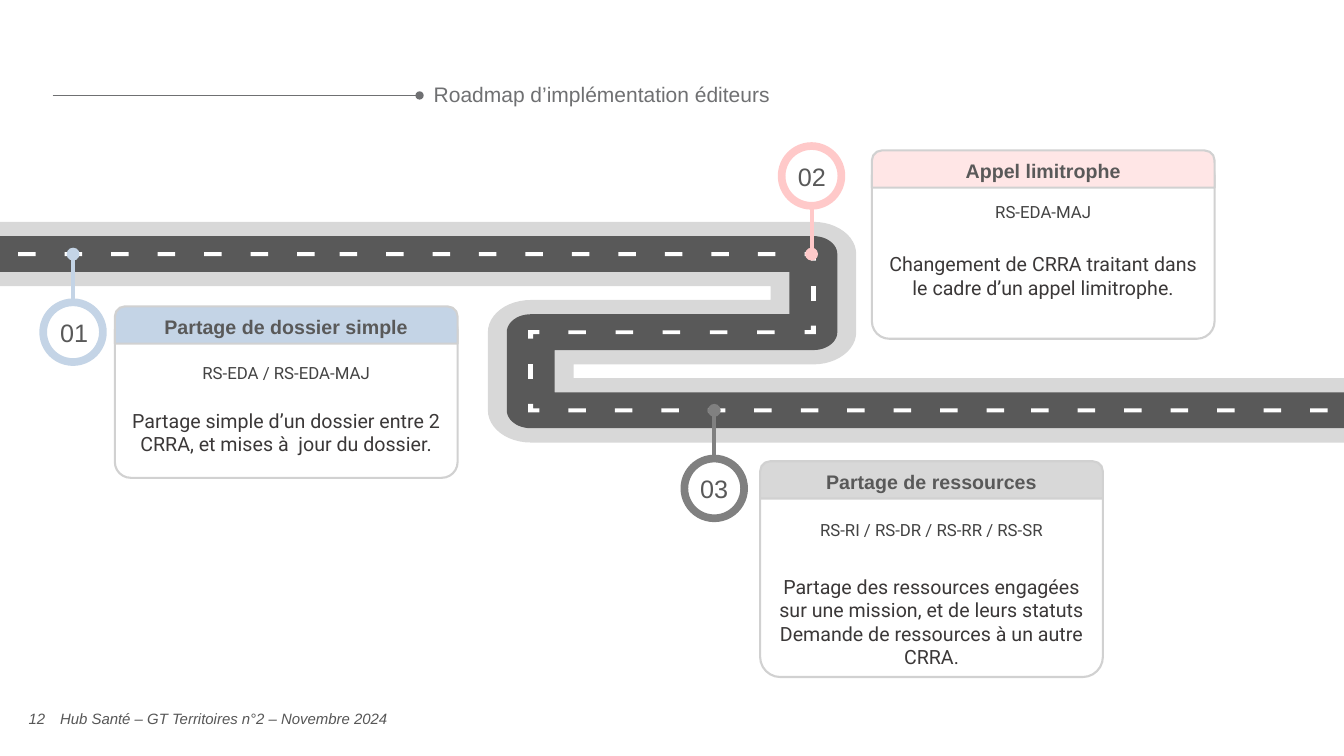
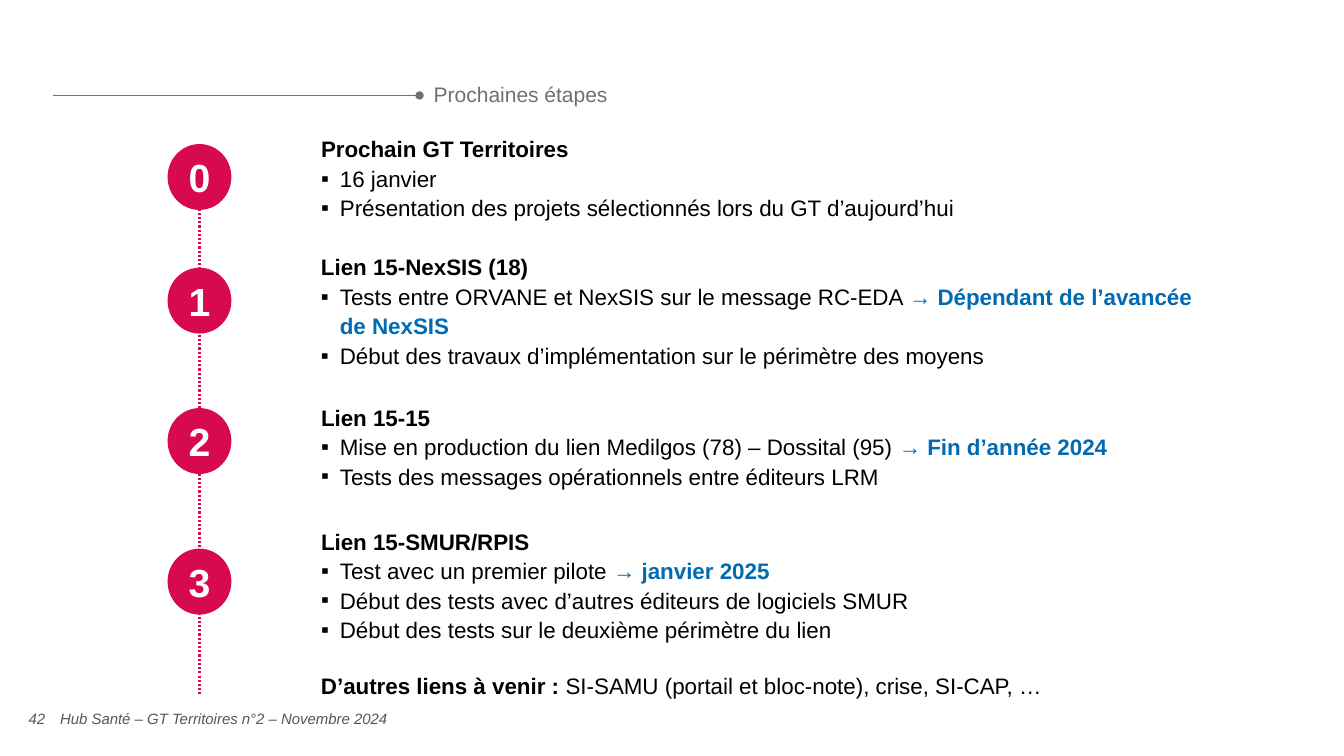
import math

import pptx
import pptx.dml.color
import pptx.enum.dml
import pptx.enum.shapes
import pptx.enum.text
import pptx.oxml.ns
import pptx.util
from lxml import etree

Pt = pptx.util.Pt
RGB = pptx.dml.color.RGBColor
SHAPE = pptx.enum.shapes.MSO_SHAPE
ALIGN = pptx.enum.text.PP_ALIGN
ANCHOR = pptx.enum.text.MSO_ANCHOR
DASH = pptx.enum.dml.MSO_LINE
qn = pptx.oxml.ns.qn

# Colours
WHITE = RGB(0xFF, 0xFF, 0xFF)
BLACK = RGB(0, 0, 0)
TITLE_GREY = RGB(0x6F, 0x70, 0x72)
FOOTER_GREY = RGB(0x57, 0x57, 0x57)
ASPHALT = RGB(0x59, 0x59, 0x59)
KERB = RGB(0xD8, 0xD8, 0xD8)
CARD_BORDER = RGB(0xD1, 0xD1, 0xD1)
CODE_GREY = RGB(0x43, 0x43, 0x43)
BODY_GREY = RGB(0x3B, 0x38, 0x38)
BLUE_SOFT = RGB(0xC4, 0xD4, 0xE6)
PINK = RGB(0xFF, 0xC9, 0xC9)
PINK_SOFT = RGB(0xFF, 0xE6, 0xE6)
PIN_GREY = RGB(0x80, 0x80, 0x80)
CRIMSON = RGB(0xD6, 0x09, 0x51)
DUE_BLUE = RGB(0x00, 0x6A, 0xB2)

FOOTER = "Hub Santé – GT Territoires n°2 – Novembre 2024"

# Road geometry: two turns and three lanes
WIDTH, HEIGHT = 960, 540
LEFT_TURN, RIGHT_TURN = 379.1, 581
LANE_GAP = 55.8
LANES = [181.5 + LANE_GAP * i for i in range(3)]
MARK_X, MARK_Y = 1.8, 1.4  # half thickness of the white marks


class Deck:
    def __init__(self):
        self.prs = pptx.Presentation()
        self.prs.slide_width, self.prs.slide_height = Pt(WIDTH), Pt(HEIGHT)
        self.s = None

    def slide(self, title, number):
        self.s = self.prs.slides.add_slide(self.prs.slide_layouts[6])
        self.line(37.7, 68.2, 299.7, 68.2, TITLE_GREY, 0.5, oval_end=True)
        tf = self.box(302.7, 56.2, 555.8, 23.8, anchor=ANCHOR.MIDDLE)
        self.para(tf, [(title, 15, TITLE_GREY)], spacing=0.9)
        for x, w, text, align in ((11.3, 30.2, str(number), ALIGN.CENTER),
                                  (42.9, 727.2, FOOTER, ALIGN.LEFT)):
            tf = self.box(x, 499, w, 28.8, anchor=ANCHOR.MIDDLE, inset=0)
            p = self.para(tf, [(text, 10.7, FOOTER_GREY)], align)
            p.runs[0].font.italic = True

    # Text
    def frame(self, shape, anchor, inset=None):
        tf = shape.text_frame
        tf.word_wrap = True
        tf.vertical_anchor = anchor
        if inset is not None:
            tf.margin_left = tf.margin_right = Pt(inset)
            tf.margin_top = tf.margin_bottom = Pt(inset)
        return tf

    def box(self, x, y, w, h, anchor=ANCHOR.TOP, inset=None):
        sp = self.s.shapes.add_textbox(Pt(x), Pt(y), Pt(w), Pt(h))
        return self.frame(sp, anchor, inset)

    def para(self, tf, runs, align=ALIGN.LEFT, spacing=None, bold=False,
             font="Arial", bullet=False):
        """Fill the empty first paragraph, or add one; runs are (text, size, colour)."""
        p = tf.paragraphs[0]
        if p.runs:
            p = tf.add_paragraph()
        if bullet:
            pPr = p._p.get_or_add_pPr()
            pPr.set("marL", str(Pt(13.5)))
            pPr.set("indent", str(-Pt(13.5)))
            etree.SubElement(pPr, qn("a:buFont")).set("typeface", "Arial")
            etree.SubElement(pPr, qn("a:buChar")).set("char", "▪")
        p.alignment = align
        if spacing:
            p.line_spacing = spacing
        for text, size, color in runs:
            r = p.add_run()
            r.text = text
            r.font.name = font
            r.font.size = Pt(size)
            r.font.bold = bold
            r.font.color.rgb = color
        return p

    # Shapes
    def style(self, sp, fill, border=None, weight=1):
        sp.shadow.inherit = False
        if fill is None:
            sp.fill.background()
        else:
            sp.fill.solid()
            sp.fill.fore_color.rgb = fill
        if border is None:
            sp.line.fill.background()
        else:
            sp.line.color.rgb = border
            sp.line.width = Pt(weight)
        return sp

    def shape(self, kind, x, y, w, h, fill, border=None, weight=1, adj=()):
        sp = self.s.shapes.add_shape(kind, Pt(x), Pt(y), Pt(w), Pt(h))
        for i, value in enumerate(adj):
            sp.adjustments[i] = value
        return self.style(sp, fill, border, weight)

    def line(self, x1, y1, x2, y2, color, weight, dash=None, oval_end=False):
        c = self.s.shapes.add_connector(
            pptx.enum.shapes.MSO_CONNECTOR.STRAIGHT, Pt(x1), Pt(y1), Pt(x2), Pt(y2))
        c.line.color.rgb = color
        c.line.width = Pt(weight)
        if dash:
            c.line.dash_style = dash
        spPr = c._element.spPr
        if oval_end:
            etree.SubElement(spPr.find(qn("a:ln")), qn("a:tailEnd")).set("type", "oval")
        etree.SubElement(spPr, qn("a:effectLst"))

    def outline(self, contours, fill):
        fb = None
        for contour in contours:
            pts = [(Pt(x), Pt(y)) for x, y in contour]
            if fb is None:
                fb = self.s.shapes.build_freeform(*pts[0])
            else:
                fb.move_to(*pts[0])
            fb.add_line_segments(pts[1:], close=True)
        self.style(fb.convert_to_shape(), fill)

    # Roadmap parts
    def road(self, hx, hy, fill):
        """A band around the lanes, hx and hy being its half thicknesses."""
        def turn(x, y, start):
            angles = [math.radians(start + 7.5 * i) for i in range(13)]
            return [(x + hx * math.cos(a), y + hy * math.sin(a)) for a in angles]

        top, mid, low = LANES
        inner_left, inner_right = LEFT_TURN + hx, RIGHT_TURN - hx
        self.outline([[
            (0, top - hy), *turn(RIGHT_TURN, top, -90), *turn(RIGHT_TURN, mid, 0),
            (inner_left, mid + hy), (inner_left, low - hy),
            (WIDTH, low - hy), (WIDTH, low + hy),
            *turn(LEFT_TURN, low, 90), *turn(LEFT_TURN, mid, 180),
            (inner_right, mid - hy), (inner_right, top + hy), (0, top + hy)]], fill)

    def road_marks(self):
        def rect(x, y, w, h):
            return [(x, y), (x, y + h), (x + w, y + h), (x + w, y)]

        def corner(x, y, dx, dy):
            x, y = x - dx * MARK_X, y - dy * MARK_Y
            a, b = x + dx * 8, y + dy * 6
            c, d = x + dx * 2 * MARK_X, y + dy * 2 * MARK_Y
            return [(x, y), (a, y), (a, d), (c, d), (c, b), (x, b)]

        top, mid, low = LANES
        # Rows of dashes
        for x, y, count, pitch in ((13, top, 7, 33.2), (242.6, top, 10, 33.2),
                                   (406, mid, 5, 33.7), (406, low, 10, 33.2),
                                   (736.6, low, 7, 33.2)):
            self.outline([rect(x + pitch * i, y - MARK_Y, 12.5, 2 * MARK_Y)
                          for i in range(count)], WHITE)
        # Marks in the turns
        for x, upper, lower, dx in ((RIGHT_TURN, top, mid, -1), (LEFT_TURN, mid, low, 1)):
            for mark in (corner(x, upper, dx, 1), corner(x, lower, dx, -1),
                         rect(x - MARK_X, (upper + lower) / 2 - 5.3, 2 * MARK_X, 10.6)):
                self.outline([mark], WHITE)

    def pin(self, label, x, lane, side, color, label_x):
        """A numbered ring above (-1) or below (1) its dot on the lane."""
        ring_y, size, dot = lane + side * LANE_GAP, 42.7, 9.2
        self.line(x, ring_y - side * size / 2, x, lane, color, 2.9)
        self.shape(SHAPE.OVAL, x - dot / 2, lane - dot / 2, dot, dot, color)
        self.shape(SHAPE.OVAL, x - size / 2, ring_y - size / 2, size, size,
                   None, color, 5.5)
        tf = self.box(label_x, ring_y - 14, 41, 28, ANCHOR.MIDDLE)
        self.para(tf, [(label, 18, ASPHALT)], ALIGN.CENTER)

    def card(self, x, y, h, color, title, code, code_top, text_y, lines):
        w = 244.8
        body = self.shape(SHAPE.ROUNDED_RECTANGLE, x, y + 5.8, w, h, WHITE,
                          CARD_BORDER, 1.5, [0.097])
        tf = self.frame(body, ANCHOR.TOP)
        tf.margin_top = Pt(code_top)
        self.para(tf, [(code, 12, CODE_GREY)], ALIGN.CENTER, font="Roboto")
        head = self.shape(SHAPE.ROUND_2_SAME_RECTANGLE, x, y, w, 26.6, color,
                          CARD_BORDER, 1.5, [0.267, 0])
        tf = self.frame(head, ANCHOR.MIDDLE)
        self.para(tf, [(title, 14, ASPHALT)], ALIGN.CENTER, bold=True)
        tf = self.box(x, text_y, w, 7.2 + 16.9 * 2 * len(lines))
        for text in lines:
            self.para(tf, [(text, 14, BODY_GREY)], ALIGN.CENTER, font="Roboto")

    # Next-step parts
    def step(self, number, circle_y, text_y, w, h, title, items):
        disc = self.shape(SHAPE.OVAL, 120.2, circle_y, 44.6, 46.1, CRIMSON, CRIMSON)
        tf = self.frame(disc, ANCHOR.MIDDLE, 0)
        self.para(tf, [(str(number), 28, WHITE)], ALIGN.CENTER, bold=True)
        tf = self.box(222.2, text_y, w, h)
        self.para(tf, [(title, 16, BLACK)], spacing=1.1, bold=True)
        for text, *due in items:
            p = self.para(tf, [(text, 16, BLACK)] + [(d, 16, DUE_BLUE) for d in due],
                          spacing=1.1, bullet=True)
            for r in p.runs[1:]:
                r.font.bold = True


def main():
    deck = Deck()

    # Roadmap
    deck.slide("Roadmap d’implémentation éditeurs", 12)
    deck.road(30.6, 23, KERB)
    deck.road(17.1, 12.8, ASPHALT)
    deck.road_marks()
    deck.card(82.1, 218.9, 116.6, BLUE_SOFT, "Partage de dossier simple",
              "RS-EDA / RS-EDA-MAJ", 30.8, 288.2,
              ["Partage simple d’un dossier entre 2 CRRA, et mises à  jour du dossier."])
    deck.card(622.8, 107.5, 128.7, PINK_SOFT, "Appel limitrophe",
              "RS-EDA-MAJ", 27.5, 176.4,
              ["Changement de CRRA traitant dans le cadre d’un appel limitrophe."])
    deck.card(543, 329.5, 148.3, KERB, "Partage de ressources",
              "RS-RI / RS-DR / RS-RR / RS-SR", 31.4, 406.8,
              ["Partage des ressources engagées sur une mission, et de leurs statuts",
               "Demande de ressources à un autre CRRA."])
    deck.pin("01", 52.2, LANES[0], 1, BLUE_SOFT, 32.5)
    deck.pin("02", 579.7, LANES[0], -1, PINK, 559.5)
    deck.pin("03", 510.2, LANES[2], 1, PIN_GREY, 489.7)

    # Next steps
    deck.slide("Prochaines étapes", 42)
    deck.line(142.5, 149, 142.5, 496.8, CRIMSON, 1.5, DASH.ROUND_DOT)
    steps = [
        (103.4, 91.4, 683.3, 69.8, "Prochain GT Territoires",
         [("16 janvier",),
          ("Présentation des projets sélectionnés lors du GT d’aujourd’hui",)]),
        (191.7, 175.7, 653, 90.7, "Lien 15-NexSIS (18)",
         [("Tests entre ORVANE et NexSIS sur le message RC-EDA ",
           "→ Dépendant de l’avancée de NexSIS"),
          ("Début des travaux d’implémentation sur le périmètre des moyens",)]),
        (292, 283, 683.3, 69.8, "Lien 15-15",
         [("Mise en production du lien Medilgos (78) – Dossital (95) ",
           "→ Fin d’année 2024"),
          ("Tests des messages opérationnels entre éditeurs LRM",)]),
        (392.4, 371.5, 683.3, 90.7, "Lien 15-SMUR/RPIS",
         [("Test avec un premier pilote ", "→ janvier 2025"),
          ("Début des tests avec d’autres éditeurs de logiciels SMUR",),
          ("Début des tests sur le deuxième périmètre du lien",)]),
    ]
    for number, step in enumerate(steps):
        deck.step(number, *step)
    tf = deck.box(222.2, 474.5, 604.8, 26.6)
    p = deck.para(tf, [("D’autres liens à venir : ", 16, BLACK),
                       ("SI-SAMU (portail et bloc-note), crise, SI-CAP, …", 16, BLACK)],
                  spacing=1.1)
    p.runs[0].font.bold = True

    deck.prs.save("out.pptx")


if __name__ == "__main__":
    main()
